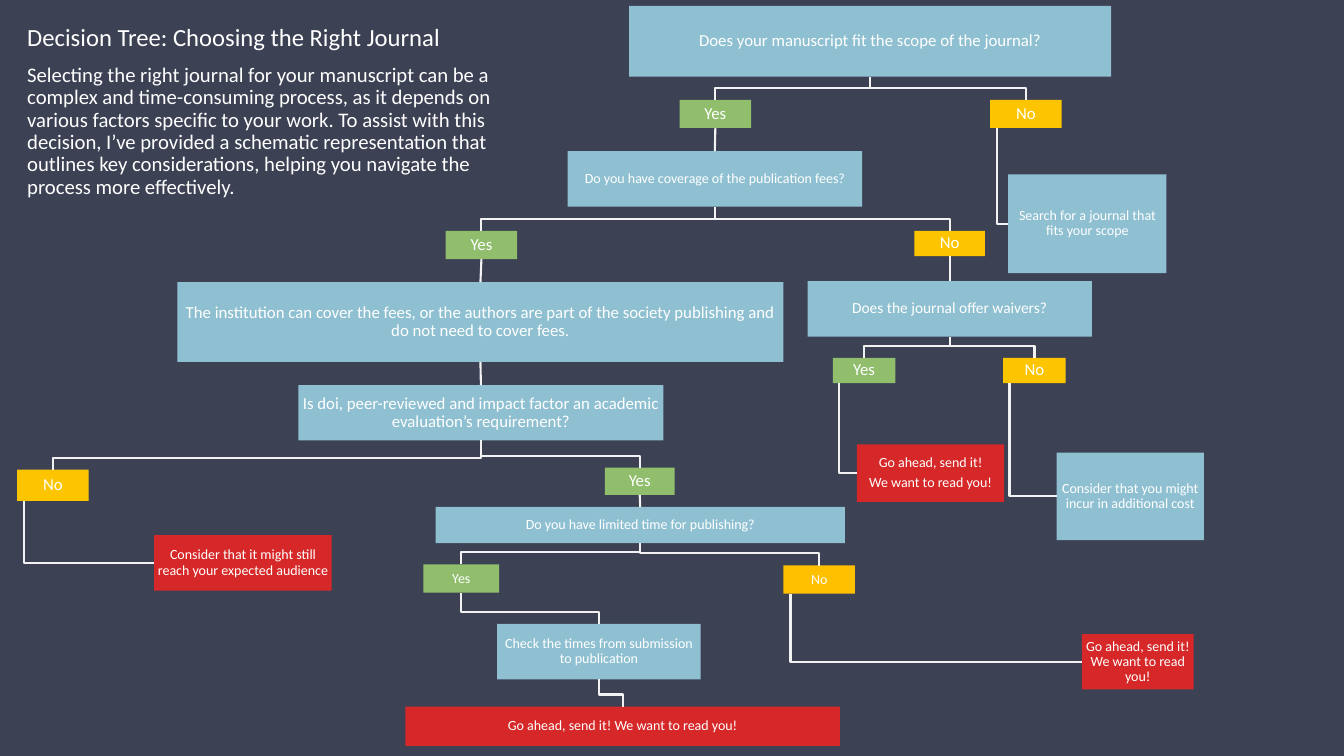
from dataclasses import dataclass

from lxml.etree import SubElement
from pptx import Presentation
from pptx.dml.color import RGBColor
from pptx.enum.shapes import MSO_CONNECTOR, MSO_SHAPE
from pptx.enum.text import MSO_ANCHOR, MSO_AUTO_SIZE, PP_ALIGN
from pptx.oxml.ns import qn
from pptx.util import Inches, Pt

FONT = "Calibri"
WHITE = "FFFFFF"
BACKGROUND = "3C4154"
LINE = "F2F2F2"
BLUE, GREEN, YELLOW, AMBER, RED = "8FC0D1", "90BE6D", "FDC500", "FFC000", "D62828"
BEND_GAP = 0.12  # height of a bend above the box it leads to
HANG_SHARE = 0.1  # part of the answer's width where a hanging line starts
BOTTOM, TOP = 2, 0


@dataclass(frozen=True)
class Node:
    left: float
    top: float
    width: float
    height: float
    fill: str
    text: str
    size: int = 12

    @property
    def center(self) -> float:
        return self.left + self.width / 2

    @property
    def middle(self) -> float:
        return self.top + self.height / 2

    @property
    def bottom(self) -> float:
        return self.top + self.height


# Questions, answers and outcomes
NODES = {
    "scope": Node(6.24, 0.06, 4.78, 0.7, BLUE, "Does your manuscript fit the scope of the journal?"),
    "scope yes": Node(6.74, 0.99, 0.71, 0.28, GREEN, "Yes"),
    "scope no": Node(9.82, 0.99, 0.71, 0.28, YELLOW, "No"),
    "search": Node(10, 1.73, 1.57, 0.98, BLUE, "Search for a journal that fits your scope", 10),
    "fees": Node(5.63, 1.5, 2.92, 0.55, BLUE, "Do you have coverage of the publication fees?", 10),
    "fees yes": Node(4.42, 2.29, 0.71, 0.28, GREEN, "Yes"),
    "fees no": Node(9.07, 2.29, 0.7, 0.25, YELLOW, "No"),
    "covered": Node(1.76, 2.8, 6.01, 0.79, BLUE,
                    "The institution can cover the fees, or the authors are part of the "
                    "society publishing and do not need to cover fees."),
    "waivers": Node(8.01, 2.79, 2.82, 0.55, BLUE, "Does the journal offer waivers?", 11),
    "waivers yes": Node(8.26, 3.55, 0.62, 0.25, GREEN, "Yes"),
    "waivers no": Node(9.95, 3.55, 0.62, 0.25, YELLOW, "No"),
    "send waived": Node(8.5, 4.41, 1.46, 0.57, RED, "Go ahead, send it!\nWe want to read you!", 10),
    "extra cost": Node(10.48, 4.49, 1.46, 0.87, BLUE,
                       "Consider that you might incur in additional cost", 10),
    "evaluation": Node(2.96, 3.82, 3.62, 0.55, BLUE,
                       "Is doi, peer-reviewed and impact factor an academic evaluation’s requirement?"),
    "evaluation no": Node(0.17, 4.66, 0.71, 0.31, YELLOW, "No"),
    "evaluation yes": Node(6, 4.64, 0.69, 0.27, GREEN, "Yes"),
    "audience": Node(1.53, 5.31, 1.76, 0.55, RED,
                     "Consider that it might still reach your expected audience", 10),
    "time": Node(4.32, 5.03, 4.06, 0.36, BLUE, "Do you have limited time for publishing?", 10),
    "time yes": Node(4.2, 5.6, 0.75, 0.28, GREEN, "Yes", 10),
    "time no": Node(7.77, 5.61, 0.71, 0.28, AMBER, "No", 10),
    "check times": Node(4.93, 6.19, 2.02, 0.55, BLUE,
                        "Check the times from submission to publication", 10),
    "send unhurried": Node(10.73, 6.29, 1.11, 0.55, RED, "Go ahead, send it! We want to read you!", 10),
    "send checked": Node(4.02, 7.01, 4.31, 0.39, RED, "Go ahead, send it! We want to read you!", 10),
}

STRAIGHT = [("scope yes", "fees"), ("fees yes", "covered"), ("covered", "evaluation"),
            ("fees no", "waivers"), ("evaluation yes", "time")]
BRANCHES = [(question, f"{question} {answer}")
            for question in ("scope", "fees", "waivers", "evaluation", "time")
            for answer in ("yes", "no")]
BRANCHES += [("time yes", "check times"), ("check times", "send checked")]
HANGING = [("scope no", "search"), ("waivers yes", "send waived"), ("waivers no", "extra cost"),
           ("evaluation no", "audience"), ("time no", "send unhurried")]

TITLE = "Decision Tree: Choosing the Right Journal"
INTRO = ("Selecting the right journal for your manuscript can be a complex and time-consuming "
         "process, as it depends on various factors specific to your work. To assist with this "
         "decision, I’ve provided a schematic representation that outlines key considerations, "
         "helping you navigate the process more effectively.")


def color(value: str) -> RGBColor:
    return RGBColor.from_string(value)


def format_text(frame, size: float, align, space_after: float = 0) -> None:
    frame.word_wrap = True
    frame.auto_size = MSO_AUTO_SIZE.NONE
    for paragraph in frame.paragraphs:
        paragraph.alignment = align
        paragraph.line_spacing = 0.9
        paragraph.space_before = Pt(0)
        paragraph.space_after = Pt(space_after)
        for run in paragraph.runs:
            run.font.name = FONT
            run.font.size = Pt(size)
            run.font.color.rgb = color(WHITE)


def fill_placeholder(placeholder, top: float, height: float, text: str, size: float) -> None:
    placeholder.left, placeholder.top = Inches(0.17), Inches(top)
    placeholder.width, placeholder.height = Inches(5.24), Inches(height)
    frame = placeholder.text_frame
    frame.text = text
    frame.vertical_anchor = MSO_ANCHOR.TOP
    format_text(frame, size, PP_ALIGN.LEFT)
    properties = frame.paragraphs[0]._p.get_or_add_pPr()
    properties.set("marL", "0")
    properties.set("indent", "0")
    SubElement(properties, qn("a:buNone"))


def draw_node(slide, node: Node):
    box = slide.shapes.add_shape(MSO_SHAPE.RECTANGLE, Inches(node.left), Inches(node.top),
                                 Inches(node.width), Inches(node.height))
    box.shadow.inherit = False
    box.fill.solid()
    box.fill.fore_color.rgb = color(node.fill)
    box.line.fill.background()
    frame = box.text_frame
    frame.margin_left = frame.margin_right = Inches(0.01)
    frame.margin_top = frame.margin_bottom = Inches(0.01)
    frame.vertical_anchor = MSO_ANCHOR.MIDDLE
    frame.text = node.text
    format_text(frame, node.size, PP_ALIGN.CENTER, node.size * 0.35)
    return box


def style_line(line) -> None:
    line.color.rgb = color(LINE)
    line.width = Pt(1.5)


def draw_straight(slide, upper, lower) -> None:
    connector = slide.shapes.add_connector(MSO_CONNECTOR.STRAIGHT, 0, 0, 0, 0)
    connector.begin_connect(upper, BOTTOM)
    connector.end_connect(lower, TOP)
    style_line(connector.line)
    SubElement(connector._element.spPr, qn("a:effectLst"))


def draw_bent(slide, points: list[tuple[float, float]]) -> None:
    start, *others = [(Inches(x), Inches(y)) for x, y in points]
    builder = slide.shapes.build_freeform(*start)
    builder.add_line_segments(others, close=False)
    bent = builder.convert_to_shape()
    bent.shadow.inherit = False
    bent.fill.background()
    style_line(bent.line)


def branch_points(parent: Node, child: Node) -> list[tuple[float, float]]:
    bend = child.top - BEND_GAP
    return [(parent.center, parent.bottom), (parent.center, bend),
            (child.center, bend), (child.center, child.top)]


def hanging_points(parent: Node, child: Node) -> list[tuple[float, float]]:
    x = parent.left + HANG_SHARE * parent.width
    return [(x, parent.bottom), (x, child.middle), (child.left, child.middle)]


def main() -> None:
    presentation = Presentation()
    presentation.slide_width, presentation.slide_height = Inches(13.33), Inches(7.5)
    slide = presentation.slides.add_slide(presentation.slide_layouts[1])
    slide.background.fill.solid()
    slide.background.fill.fore_color.rgb = color(BACKGROUND)

    # Title and introduction
    fill_placeholder(slide.shapes.title, 0.2, 0.39, TITLE, 17.6)
    fill_placeholder(slide.placeholders[1], 0.59, 1.8, INTRO, 14.8)

    # Boxes of the tree
    boxes = {key: draw_node(slide, node) for key, node in NODES.items()}

    # Lines between the boxes
    for upper, lower in STRAIGHT:
        draw_straight(slide, boxes[upper], boxes[lower])
    for parent, child in BRANCHES:
        draw_bent(slide, branch_points(NODES[parent], NODES[child]))
    for parent, child in HANGING:
        draw_bent(slide, hanging_points(NODES[parent], NODES[child]))

    presentation.save("out.pptx")


if __name__ == "__main__":
    main()
